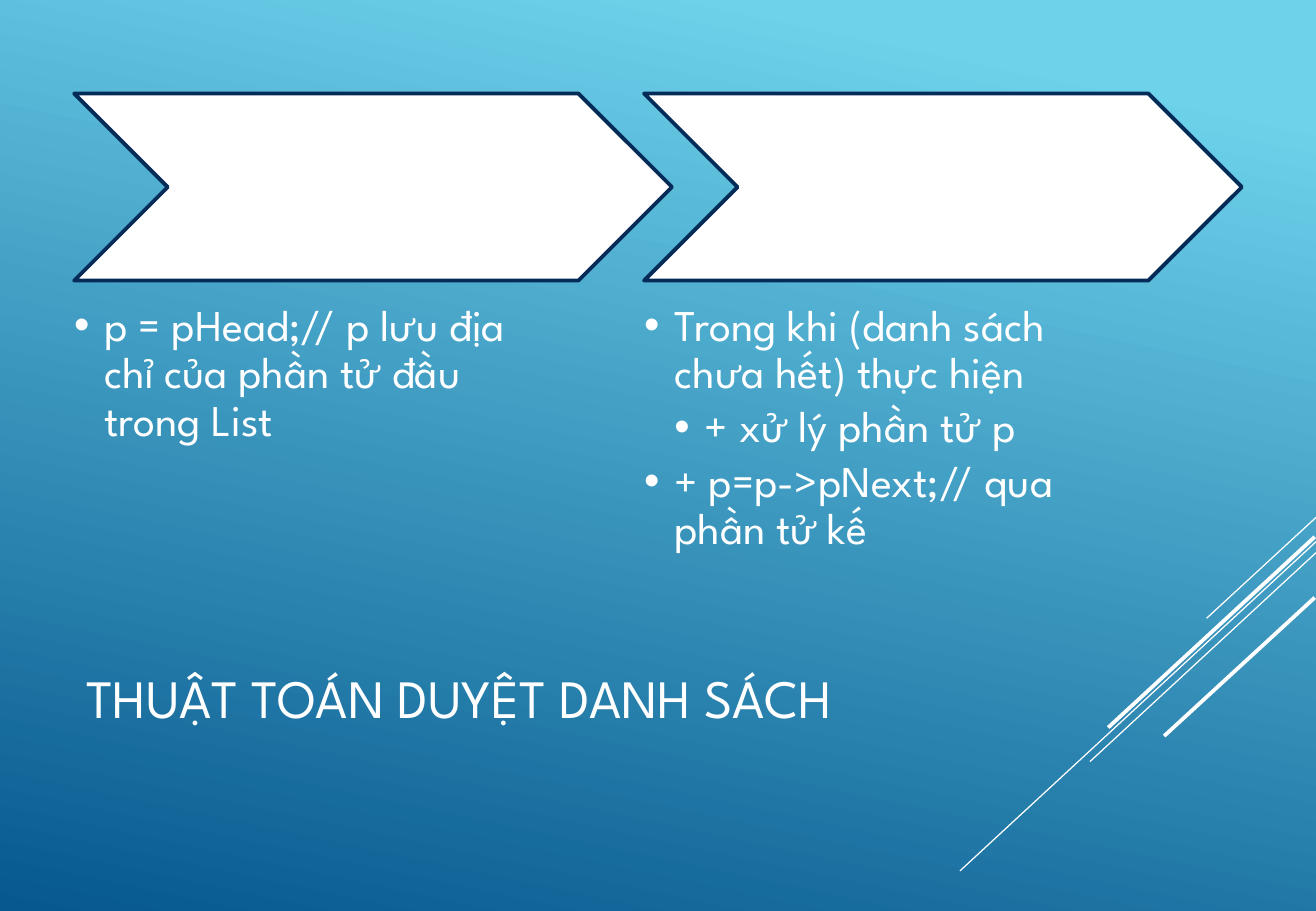
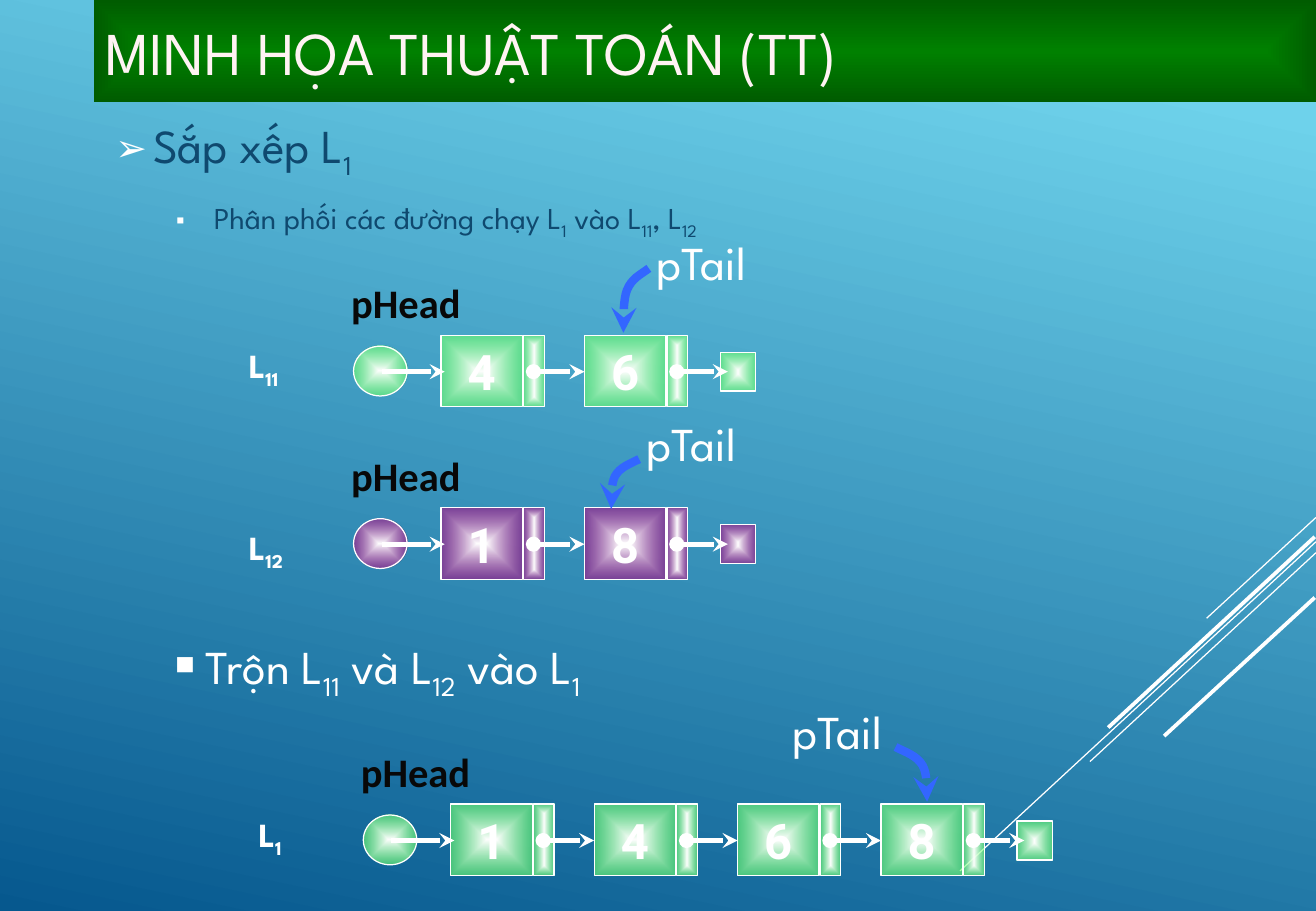
from lxml.etree import SubElement
from pptx import Presentation
from pptx.dml.color import RGBColor
from pptx.enum.shapes import MSO_CONNECTOR, MSO_SHAPE
from pptx.enum.text import MSO_ANCHOR as Anchor, MSO_AUTO_SIZE, PP_ALIGN as Align
from pptx.oxml.ns import qn
from pptx.util import Inches, Pt

# Shared colours
WHITE = RGBColor(0xFF, 0xFF, 0xFF)
SKY = RGBColor(0x6E, 0xD2, 0xEB)
DEEP_BLUE = RGBColor(0x06, 0x58, 0x8E)
NAVY = RGBColor(0x05, 0x2B, 0x58)
INK_BLUE = RGBColor(0x0F, 0x49, 0x6F)
ROSE_WHITE = RGBColor(0xFF, 0xF3, 0xF3)
BAND_GREEN = RGBColor(0x00, 0x80, 0x00)
BAND_DARK = RGBColor(0x00, 0x5C, 0x00)
NODE_GREEN = RGBColor(0x69, 0xFF, 0x69)
NODE_PURPLE = RGBColor(0xA5, 0x0E, 0x82)
ARROW_BLUE = RGBColor(0x33, 0x66, 0xFF)
BLACK = RGBColor(0x08, 0x08, 0x08)

# Shared text formats
THEME_FONT = "League Spartan"
TITLE = {"name": THEME_FONT, "size": Pt(32), "color": WHITE}
BAND_TITLE = {"name": THEME_FONT, "size": Pt(36), "color": ROSE_WHITE}
STEP = {"name": THEME_FONT, "size": Pt(26), "color": WHITE}
TOPIC = {"name": THEME_FONT, "size": Pt(28), "color": INK_BLUE}
SUBTOPIC = {"name": THEME_FONT, "size": Pt(18), "color": INK_BLUE}
LARGE = {"name": THEME_FONT, "size": Pt(28), "color": WHITE}
LIST_NAME = {"name": THEME_FONT, "size": Pt(20), "color": WHITE, "bold": True}
HEAD_LABEL = {"name": "Calibri", "size": Pt(24), "color": BLACK, "bold": True}
NODE_VALUE = {"name": "Roboto", "size": Pt(29), "color": WHITE, "bold": True}

# Decorative lines of the master: start, end, width in points
CORNER_LINES = [
    ((10.83, 4.26), (9.93, 5.09), 0.75),
    ((10.83, 4.46), (7.9, 7.17), 0.75),
    ((10.83, 4.55), (8.97, 6.27), 0.75),
    ((10.82, 4.42), (9.12, 5.99), 2.25),
    ((10.82, 4.92), (9.58, 6.06), 2.25),
]

# Linked list geometry, in inches
NODE_PITCH, NODE_WIDTH, NODE_HEIGHT = 1.18, 0.67, 0.59
FIRST_NODE = 0.72
MIDDLE = 0.3
# Two cubic curves as shares of the width and height of the bend
BEND = [[(0, 0), (0.34, 0.1), (0.68, 0.16), (0.86, 0.34)],
        [(0.86, 0.34), (1, 0.49), (1, 0.74), (1, 1)]]


def place(shape, left, top, width, height):
    box = {"left": left, "top": top, "width": width, "height": height}
    for name, value in box.items():
        setattr(shape, name, Inches(value))


def set_frame(frame, anchor, inset=None):
    frame.word_wrap = True
    frame.auto_size = MSO_AUTO_SIZE.NONE
    frame.vertical_anchor = anchor
    if inset is not None:
        for side in ("left", "top", "right", "bottom"):
            setattr(frame, f"margin_{side}", Inches(inset))


def write(paragraph, text, style, align=Align.LEFT):
    """Write text; the parts between bars are subscripts."""
    paragraph.alignment = align
    for index, part in enumerate(text.split("|")):
        if not part:
            continue
        run = paragraph.add_run()
        run.text = part
        for name, value in style.items():
            if name == "color":
                run.font.color.rgb = value
            else:
                setattr(run.font, name, value)
        if index % 2:
            run._r.get_or_add_rPr().set("baseline", "-25000")


def set_bullet(paragraph, char, margin, indent, percent=100):
    properties = paragraph._p.get_or_add_pPr()
    properties.set("marL", str(Inches(margin)))
    properties.set("indent", str(Inches(indent)))
    color = SubElement(properties, qn("a:buClr"))
    SubElement(color, qn("a:srgbClr")).set("val", str(WHITE))
    SubElement(properties, qn("a:buSzPct")).set("val", str(percent * 1000))
    SubElement(properties, qn("a:buChar")).set("char", char)


def add_label(shapes, box, text, style, align=Align.LEFT, inset=None):
    label = shapes.add_textbox(*map(Inches, box))
    set_frame(label.text_frame, Anchor.MIDDLE, inset)
    write(label.text_frame.paragraphs[0], text, style, align)
    return label


def set_line(shape, color, width, head=None, tail=None):
    shape.line.color.rgb = color
    shape.line.width = Pt(width)
    outline = shape.element.spPr.find(qn("a:ln"))
    for tag, kind in (("a:headEnd", head), ("a:tailEnd", tail)):
        if kind:
            SubElement(outline, qn(tag)).set("type", kind)


def add_line(shapes, start, end, width, **ends):
    connector = shapes.add_connector(
        MSO_CONNECTOR.STRAIGHT, *map(Inches, (*start, *end)))
    set_line(connector, WHITE, width, **ends)
    SubElement(connector.element.spPr, qn("a:effectLst"))
    return connector


def fill_from_centre(shape, inner, outer, opacity=100):
    shape.fill.gradient()
    for stop, color in zip(shape.fill.gradient_stops, (inner, outer)):
        stop.color.rgb = color
    gradient = shape.element.spPr.find(qn("a:gradFill"))
    gradient.remove(gradient.find(qn("a:lin")))
    shade = SubElement(gradient, qn("a:path"))
    shade.set("path", "shape")
    centre = SubElement(shade, qn("a:fillToRect"))
    for side in "ltrb":
        centre.set(side, "50000")
    if opacity < 100:
        outer_color = gradient.findall(".//" + qn("a:srgbClr"))[-1]
        SubElement(outer_color, qn("a:alpha")).set("val", str(opacity * 1000))


def add_cell(shapes, kind, box, color):
    cell = shapes.add_shape(kind, *map(Inches, box))
    cell.shadow.inherit = False
    fill_from_centre(cell, WHITE, color, 60)
    set_line(cell, WHITE, 0.75)
    return cell


def add_bent_arrow(shapes, start, end):
    points = []
    for curve in BEND:
        for step in range(9):
            t = step / 8
            weights = ((1 - t) ** 3, 3 * t * (1 - t) ** 2, 3 * t * t * (1 - t), t ** 3)
            shares = [sum(w * point[axis] for w, point in zip(weights, curve))
                      for axis in (0, 1)]
            points.append(tuple(Inches(a + (b - a) * share)
                                for a, b, share in zip(start, end, shares)))
    builder = shapes.build_freeform(*points[0])
    builder.add_line_segments(points[1:], close=False)
    arrow = builder.convert_to_shape()
    arrow.shadow.inherit = False
    arrow.fill.background()
    set_line(arrow, ARROW_BLUE, 5, tail="stealth")


def add_linked_list(slide, left, top, name, values, color, name_drop, tail):
    """Draw a list from its head circle; tail offsets start at the last node."""
    shapes = slide.shapes.add_group_shape().shapes
    middle = top + MIDDLE
    rectangle = MSO_SHAPE.RECTANGLE

    # Head circle and names
    add_cell(shapes, MSO_SHAPE.OVAL, (left, top + 0.09, 0.44, 0.41), color)
    add_label(shapes, (left - 0.16, top - 0.5, 1.18, 0.46), "pHead",
              HEAD_LABEL, Align.CENTER, 0)
    add_label(shapes, (left - 0.96, top + name_drop, 0.71, 0.43), name, LIST_NAME)

    # Nodes and the end mark
    nodes = [left + FIRST_NODE + NODE_PITCH * i for i in range(len(values))]
    last = nodes[-1]
    for x, value in zip(nodes, values):
        node = add_cell(shapes, rectangle, (x, top, NODE_WIDTH, NODE_HEIGHT), color)
        set_frame(node.text_frame, Anchor.MIDDLE)
        write(node.text_frame.paragraphs[0], value, NODE_VALUE, Align.CENTER)
        add_cell(shapes, rectangle, (x + 0.68, top, 0.17, NODE_HEIGHT), color)
    add_cell(shapes, rectangle, (last + 1.12, top + 0.14, 0.29, 0.32), color)

    # Pointers
    add_line(shapes, (left + 0.23, middle), (left + 0.75, middle), 3, tail="stealth")
    for x in nodes:
        add_line(shapes, (x + 0.76, middle), (x + NODE_PITCH, middle), 3,
                 head="oval", tail="stealth")

    # Tail pointer
    label, start, end = [(last + dx, top + dy) for dx, dy in tail]
    add_label(shapes, (*label, 0.86, 0.43), "pTail", LARGE, Align.CENTER, 0)
    add_bent_arrow(shapes, start, end)


def style_master(presentation, slide):
    master = presentation.slide_master
    fill = master.background.fill
    fill.gradient()
    fill.gradient_angle = 258
    for stop, color, position in zip(fill.gradient_stops, (SKY, DEEP_BLUE), (0.1, 1)):
        stop.color.rgb = color
        stop.position = position
    for number, (start, end, width) in enumerate(CORNER_LINES, 101):
        line = add_line(slide.shapes, start, end, width)
        line.element.nvCxnSpPr.cNvPr.set("id", str(number))
        master.element.cSld.spTree.append(line.element)


def set_title(slide, box, text, style):
    title = slide.shapes.title
    place(title, *box)
    set_frame(title.text_frame, Anchor.MIDDLE)
    write(title.text_frame.paragraphs[0], text, style)
    return title


def add_step(slide, body, left, top, lines):
    """Draw a chevron with its bulleted list below."""
    chevron = slide.shapes.add_shape(
        MSO_SHAPE.CHEVRON, *map(Inches, (left, top, 4.92, 1.54)))
    chevron.shadow.inherit = False
    chevron.fill.solid()
    chevron.fill.fore_color.rgb = WHITE
    set_line(chevron, NAVY, 2.25)

    place(body, left, top + 1.73, 3.94, 2.18)
    fill_body(body, Anchor.TOP, [(text, STEP, "•", 0.25 * (level + 1), -0.25, 100)
                                 for level, text in lines],
              {"line_spacing": 0.9, "space_before": Pt(0), "space_after": Pt(4)}, 0)


def fill_body(body, anchor, lines, spacing, inset=None):
    frame = body.text_frame
    set_frame(frame, anchor, inset)
    for index, (text, style, *bullet) in enumerate(lines):
        paragraph = frame.add_paragraph() if index else frame.paragraphs[0]
        for name, value in spacing.items():
            setattr(paragraph, name, value)
        write(paragraph, text, style)
        set_bullet(paragraph, *bullet)


def fill_traversal_slide(slide):
    set_title(slide, (0.61, 4.91, 7.58, 1.65), "THUẬT TOÁN DUYỆT DANH SÁCH", TITLE)
    steps = [
        [(0, "p = pHead;// p lưu địa chỉ của phần tử đầu trong List")],
        [(0, "Trong khi (danh sách chưa hết) thực hiện"),
         (1, "+ xử lý phần tử p"),
         (0, "+ p=p->pNext;// qua phần tử kế")],
    ]
    for index, lines in enumerate(steps):
        add_step(slide, slide.placeholders[index + 1], 0.61 + 4.69 * index, 0.77, lines)


def fill_sorting_slide(slide):
    title = set_title(slide, (0.77, 0, 10.06, 0.84), "MINH HỌA THUẬT TOÁN (TT)", BAND_TITLE)
    fill_from_centre(title, BAND_GREEN, BAND_DARK)

    body = slide.placeholders[1]
    place(body, 0.85, 0.84, 9.98, 1.26)
    fill_body(body, Anchor.MIDDLE, [
        ("Sắp xếp L|1|", TOPIC, "➢", 0.31, -0.31, 80),
        ("Phân phối các đường chạy L|1| vào L|11|, L|12|", SUBTOPIC, "▪", 0.81, -0.31, 80),
    ], {"space_before": Pt(5), "space_after": Pt(6)})

    add_linked_list(slide, 2.91, 2.76, "L|11|", "46", NODE_GREEN, 0.05,
                    [(0.53, -0.82), (0.53, -0.55), (0.32, -0.02)])
    add_linked_list(slide, 2.91, 4.18, "L|12|", "18", NODE_PURPLE, 0.13,
                    [(0.45, -0.75), (0.45, -0.4), (0.22, 0.01)])
    merge = add_label(slide.shapes, (1.01, 5.23, 9.06, 0.57),
                      "Trộn L|11| và L|12| vào L|1|", LARGE)
    set_bullet(merge.text_frame.paragraphs[0], "▪", 0.58, -0.31)
    add_linked_list(slide, 2.99, 6.62, "L|1|", "1468", NODE_GREEN, 0.05,
                    [(-0.79, -0.82), (0.12, -0.47), (0.38, -0.02)])


def main():
    presentation = Presentation()
    presentation.slide_width = Inches(10.83)
    presentation.slide_height = Inches(7.5)
    layouts = presentation.slide_layouts
    traversal = presentation.slides.add_slide(layouts.get_by_name("Two Content"))
    sorting = presentation.slides.add_slide(layouts.get_by_name("Title and Content"))
    style_master(presentation, traversal)
    fill_traversal_slide(traversal)
    fill_sorting_slide(sorting)
    presentation.save("out.pptx")


if __name__ == "__main__":
    main()
